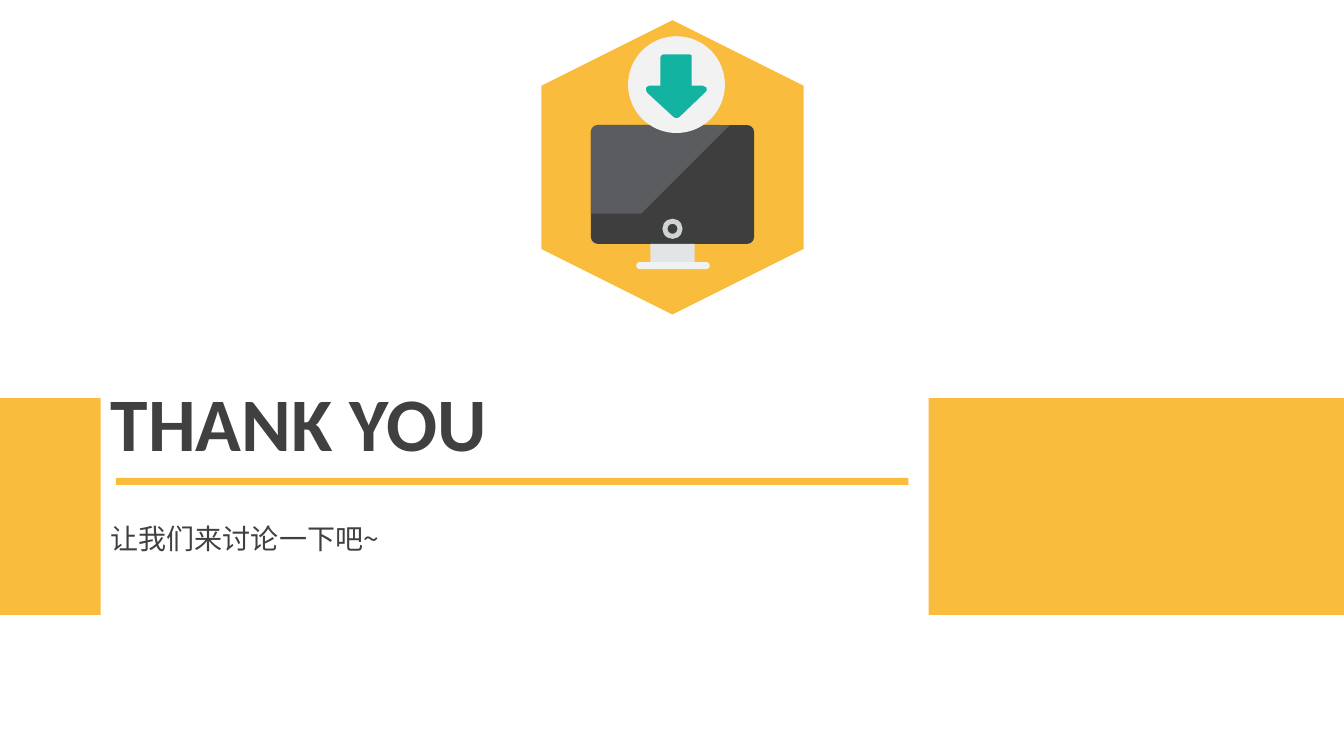
from dataclasses import dataclass

from lxml import etree
from pptx import Presentation
from pptx.dml.color import RGBColor
from pptx.enum.shapes import MSO_SHAPE
from pptx.enum.text import MSO_AUTO_SIZE
from pptx.oxml.ns import qn
from pptx.shapes.autoshape import Shape
from pptx.slide import Slide
from pptx.util import Emu, Pt

PX = 9144
YELLOW = RGBColor(0xFA, 0xBC, 0x3D)
INK = RGBColor(0x40, 0x40, 0x40)
SCREEN = RGBColor(0x3E, 0x3E, 0x3F)
GLARE = RGBColor(0x5B, 0x5C, 0x5F)
STAND = RGBColor(0xE2, 0xE4, 0xE5)
FOOT = RGBColor(0xF0, 0xF1, 0xF1)
RING = RGBColor(0xCF, 0xD3, 0xD4)
DISC = RGBColor(0xF2, 0xF2, 0xF2)
TEAL = RGBColor(0x12, 0xB3, 0xA0)

RECTANGLE = MSO_SHAPE.RECTANGLE
ROUNDED = MSO_SHAPE.ROUNDED_RECTANGLE
HEXAGON = MSO_SHAPE.HEXAGON
OVAL = MSO_SHAPE.OVAL
DONUT = MSO_SHAPE.DONUT
GROW = MSO_AUTO_SIZE.SHAPE_TO_FIT_TEXT


@dataclass(frozen=True)
class Block:
    kind: MSO_SHAPE
    left: int
    top: int
    width: int
    height: int
    color: RGBColor
    rotation: int = 0
    adjustment: float | None = None


@dataclass(frozen=True)
class Outline:
    points: tuple[tuple[int, int], ...]
    color: RGBColor


@dataclass(frozen=True)
class Caption:
    text: str
    left: int
    top: int
    width: int
    height: int
    size: int
    font: str
    bold: bool = False
    wrap: bool = True
    line_spacing: float = 1.0


BACKDROP = (
    Block(HEXAGON, 521, 36, 292, 260, YELLOW, rotation=270),
    Block(RECTANGLE, 0, 395, 100, 215, YELLOW),
    Block(RECTANGLE, 921, 395, 412, 215, YELLOW),
    Block(RECTANGLE, 115, 474, 786, 7, YELLOW),
)

MONITOR = (
    Block(ROUNDED, 586, 124, 162, 118, SCREEN, adjustment=0.06),
    Block(RECTANGLE, 645, 242, 44, 18, STAND),
    Block(ROUNDED, 631, 260, 73, 7, FOOT, adjustment=0.5),
    Block(DONUT, 657, 217, 20, 20, RING, adjustment=0.25),
    Outline(((586, 131), (586, 212), (636, 212), (724, 124), (594, 124),
             (591, 125), (588, 126), (587, 128)), GLARE),
)

DOWNLOAD_BADGE = (
    Block(OVAL, 623, 36, 96, 96, DISC),
    Outline(((701, 87), (699, 86), (697, 85), (686, 85), (686, 57),
             (686, 55), (684, 54), (658, 54), (656, 55), (655, 57),
             (655, 85), (644, 85), (642, 86), (641, 87), (641, 90),
             (642, 92), (668, 116), (670, 117), (672, 117), (674, 116),
             (699, 92), (701, 90)), TEAL),
)

CAPTIONS = (
    Caption("THANK YOU", 100, 368, 397, 101, 54, "Calibri",
            bold=True, wrap=False),
    Caption("让我们来讨论一下吧~", 100, 502, 821, 51, 20, "Noto Sans CJK SC",
            line_spacing=1.3),
)


def paint(shape: Shape, color: RGBColor) -> None:
    shape.shadow.inherit = False
    shape.fill.solid()
    shape.fill.fore_color.rgb = color
    shape.line.fill.background()


def draw_block(page: Slide, block: Block) -> None:
    shape = page.shapes.add_shape(
        block.kind, block.left * PX, block.top * PX,
        block.width * PX, block.height * PX)
    shape.rotation = block.rotation
    if block.adjustment is not None:
        shape.adjustments[0] = block.adjustment
    paint(shape, block.color)


def draw_outline(page: Slide, outline: Outline) -> None:
    start, *rest = outline.points
    builder = page.shapes.build_freeform(*start, scale=PX)
    builder.add_line_segments(rest, close=True)
    paint(builder.convert_to_shape(), outline.color)


def draw_caption(page: Slide, caption: Caption) -> None:
    box = page.shapes.add_textbox(
        caption.left * PX, caption.top * PX,
        caption.width * PX, caption.height * PX)
    frame = box.text_frame
    frame.word_wrap = caption.wrap
    frame.auto_size = GROW
    frame.text = caption.text
    para = frame.paragraphs[0]
    para.line_spacing = caption.line_spacing
    span = para.runs[0]
    span.font.name = caption.font
    span.font.size = Pt(caption.size)
    span.font.bold = caption.bold
    span.font.color.rgb = INK
    east_asian = etree.SubElement(span._r.get_or_add_rPr(), qn("a:ea"))
    east_asian.set("typeface", caption.font)


def main() -> None:
    deck = Presentation()
    deck.slide_width = Emu(1333 * PX)
    deck.slide_height = Emu(750 * PX)
    page = deck.slides.add_slide(deck.slide_layouts[6])
    for part in BACKDROP + MONITOR + DOWNLOAD_BADGE:
        if isinstance(part, Block):
            draw_block(page, part)
        else:
            draw_outline(page, part)
    for caption in CAPTIONS:
        draw_caption(page, caption)
    deck.save("out.pptx")


if __name__ == "__main__":
    main()
